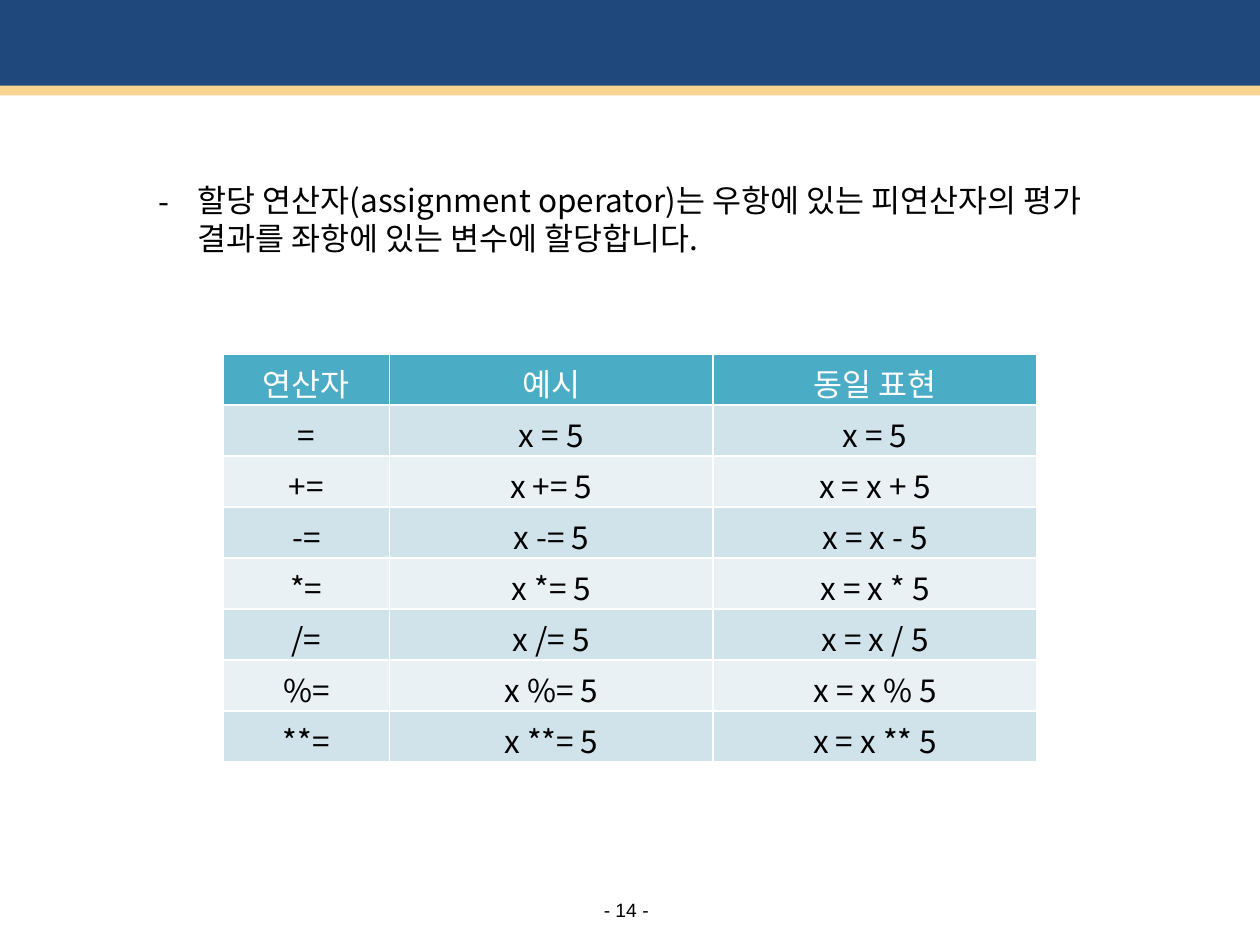
from dataclasses import dataclass

from lxml.etree import SubElement
from pptx import Presentation
from pptx.dml.color import RGBColor
from pptx.enum.shapes import MSO_SHAPE
from pptx.enum.text import MSO_ANCHOR, PP_ALIGN
from pptx.oxml.ns import qn
from pptx.util import Pt


@dataclass(frozen=True)
class Theme:
    navy: str = "1F497D"
    gold: str = "F9D490"
    head: str = "4BACC6"
    bands: tuple = ("D0E3EA", "E9F1F5")
    white: str = "FFFFFF"
    black: str = "000000"
    font: str = "Noto Sans CJK KR"
    number_font: str = "Arial"
    body_size: float = 18
    number_size: float = 11


@dataclass(frozen=True)
class Box:
    left: float
    top: float
    width: float
    height: float

    def pts(self) -> tuple:
        return Pt(self.left), Pt(self.top), Pt(self.width), Pt(self.height)


@dataclass(frozen=True)
class Operator:
    symbol: str
    example: str
    same_as: str


T = Theme()
HEADINGS = Operator("연산자", "예시", "동일 표현")
OPERATORS = [Operator("=", "x = 5", "x = 5")] + [
    Operator(f"{sign}=", f"x {sign}= 5", f"x = x {sign} 5")
    for sign in ("+", "-", "*", "/", "%", "**")
]
COLUMNS = (95, 185, 185)
ROW_HEIGHT = 29.16


def style(p, size: float, color: str, font: str = T.font) -> None:
    for r in p.runs:
        r.font.size, r.font.name = Pt(size), font
        r.font.color.rgb = RGBColor.from_string(color)
        SubElement(r.font._element, qn("a:ea"), typeface=font)


def add_bar(s, box: Box, color: str) -> None:
    sp = s.shapes.add_shape(MSO_SHAPE.RECTANGLE, *box.pts())
    sp.shadow.inherit = False
    sp.fill.solid()
    sp.fill.fore_color.rgb = RGBColor.from_string(color)
    sp.line.fill.background()


def add_text(s, box: Box, text: str, wrap: bool = True):
    tf = s.shapes.add_textbox(*box.pts()).text_frame
    tf.word_wrap = wrap
    tf.text = text
    return tf


def set_border(cell, side: str) -> None:
    ln = SubElement(cell._tc.get_or_add_tcPr(), qn(f"a:{side}"), w=str(Pt(1)))
    fill = SubElement(ln, qn("a:solidFill"))
    SubElement(fill, qn("a:srgbClr"), val=T.white)


def fill_cell(cell, text: str, color: str, fill: str) -> None:
    cell.margin_top, cell.margin_bottom = Pt(3.5), Pt(0)
    cell.text = text
    p = cell.text_frame.paragraphs[0]
    p.alignment = PP_ALIGN.CENTER
    style(p, T.body_size, color)
    for side in ("lnL", "lnR", "lnT", "lnB"):
        set_border(cell, side)
    cell.fill.solid()
    cell.fill.fore_color.rgb = RGBColor.from_string(fill)


def add_operator_table(s, left: float, top: float) -> None:
    rows = [HEADINGS, *OPERATORS]
    box = Box(left, top, sum(COLUMNS), ROW_HEIGHT * len(rows))
    table = s.shapes.add_table(len(rows), len(COLUMNS), *box.pts()).table
    for column, width in zip(table.columns, COLUMNS):
        column.width = Pt(width)
    for i, op in enumerate(rows):
        table.rows[i].height = Pt(ROW_HEIGHT)
        if i == 0:
            color, fill = T.white, T.head
        else:
            color, fill = T.black, T.bands[(i - 1) % 2]
        for j, text in enumerate((op.symbol, op.example, op.same_as)):
            fill_cell(table.cell(i, j), text, color, fill)


def main() -> None:
    prs = Presentation()
    prs.slide_width, prs.slide_height = Pt(720), Pt(540)
    s = prs.slides.add_slide(prs.slide_layouts[6])

    # Header band
    add_bar(s, Box(0, -2.2, 720, 54.7), T.navy)
    add_bar(s, Box(0, 49, 720, 5.6), T.gold)

    # Definition with a dash bullet
    tf = add_text(
        s, Box(83.5, 99.6, 560.2, 51),
        "할당 연산자(assignment operator)는 우항에 있는 피연산자의 평가 결과를 "
        "좌항에 있는 변수에 할당합니다.")
    p = tf.paragraphs[0]
    p.line_spacing = Pt(21.7)
    pPr = p._p.get_or_add_pPr()
    pPr.set("marL", str(Pt(22.5)))
    pPr.set("indent", str(Pt(-22.5)))
    SubElement(pPr, qn("a:buFont"), typeface=T.font)
    SubElement(pPr, qn("a:buChar"), char="-")
    style(p, T.body_size, T.black)

    # Assignment operators
    add_operator_table(s, 127.6, 202.2)

    # Page number
    tf = add_text(s, Box(342.4, 513, 31, 13.7), "- 14 -", wrap=False)
    tf.margin_left = tf.margin_right = tf.margin_top = tf.margin_bottom = 0
    tf.vertical_anchor = MSO_ANCHOR.MIDDLE
    tf.paragraphs[0].alignment = PP_ALIGN.CENTER
    style(tf.paragraphs[0], T.number_size, T.black, T.number_font)

    prs.save("out.pptx")


if __name__ == "__main__":
    main()
